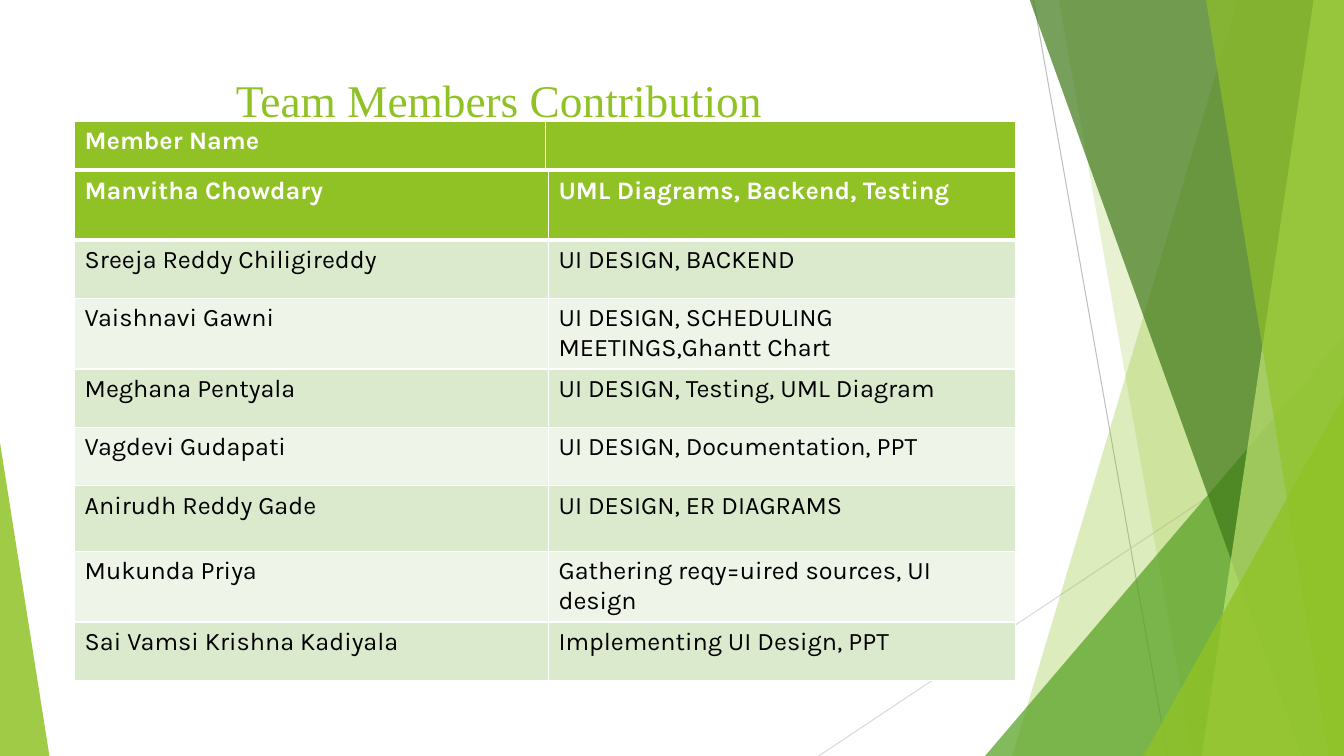
import pptx
import pptx.util
import pptx.dml.color
import pptx.enum.shapes
import pptx.enum.text
import pptx.oxml
import pptx.oxml.ns
import lxml.etree

Inches = pptx.util.Inches
Pt = pptx.util.Pt
qn = pptx.oxml.ns.qn
LIME = "90C226"
WHITE = "FFFFFF"
BANDS = ("DBE9CD", "EEF4E8")

# kind, colour, opacity, then x of the top and bottom left corners (facet)
# or left, top, width, height, apex (wedge)
PANES = [
    ("facet", LIME, 30, 12.28, 10.04),
    ("facet", LIME, 20, 10.5, 11.83),
    ("wedge", "54A021", 72, 9.77, 3.33, 3.56, 4.17, 1),
    ("facet", "3F7819", 70, 10.21, 12.91),
    ("facet", "C0E474", 70, 13.03, 11.92),
    ("facet", LIME, 65, 11.96, 13.18),
    ("wedge", LIME, 80, 11.34, 3.93, 1.99, 3.57, 1),
    ("wedge", LIME, 85, 0, 4.39, 0.49, 3.11, 0),
]

# name, task, row height
TEAM = [
    ("Manvitha Chowdary", "UML Diagrams, Backend, Testing", 0.68),
    ("Sreeja Reddy Chiligireddy", "UI DESIGN, BACKEND", 0.58),
    ("Vaishnavi Gawni", "UI DESIGN, SCHEDULING MEETINGS,Ghantt Chart", 0.68),
    ("Meghana Pentyala", "UI DESIGN, Testing, UML Diagram", 0.58),
    ("Vagdevi Gudapati", "UI DESIGN, Documentation, PPT", 0.58),
    ("Anirudh Reddy Gade", "UI DESIGN, ER DIAGRAMS", 0.65),
    ("Mukunda Priya", "Gathering reqy=uired sources, UI design", 0.68),
    ("Sai Vamsi Krishna Kadiyala", "Implementing UI Design, PPT", 0.58),
]


def color(code):
    return pptx.dml.color.RGBColor.from_string(code)


def paint(shape, code, alpha):
    shape.shadow.inherit = False
    shape.line.fill.background()
    shape.fill.solid()
    shape.fill.fore_color.rgb = color(code)
    tint = shape.fill._xPr.find(qn("a:solidFill"))[0]
    lxml.etree.SubElement(tint, qn("a:alpha"), val=str(alpha * 1000))


def write(para, text, font, size, code, bold=False):
    run = para.add_run()
    run.text = text
    run.font.name = font
    run.font.size = Pt(size)
    run.font.bold = bold
    run.font.color.rgb = color(code)


def add_line(slide, start, end, code):
    line = slide.shapes.add_connector(
        pptx.enum.shapes.MSO_CONNECTOR.STRAIGHT,
        *[Inches(v) for v in start + end])
    line.line.color.rgb = color(code)
    line.line.width = Pt(0.75)
    lxml.etree.SubElement(line._element.spPr, qn("a:effectLst"))


def add_facet(slide, box, top_x, low_x):
    left, top, width, height = box
    right, low = left + width, top + height
    points = [(left + top_x, top - 0.01), (right, top - 0.01),
              (right, low), (left + low_x, low)]
    points = [(Inches(x), Inches(y)) for x, y in points]
    form = slide.shapes.build_freeform(*points[0], scale=1.0)
    form.add_line_segments(points[1:], close=True)
    return form.convert_to_shape()


def add_wedge(slide, box, x, y, width, height, apex):
    shape = slide.shapes.add_shape(
        pptx.enum.shapes.MSO_SHAPE.ISOSCELES_TRIANGLE,
        Inches(box[0] + x), Inches(box[1] + y), Inches(width), Inches(height))
    shape.adjustments[0] = apex
    return shape


def add_decor(slide, box):
    left, top, width, height = box
    right, low = left + width, top + height
    add_line(slide, (left + 10.25, top), (left + 11.58, low), "BFBFBF")
    add_line(slide, (right, top + 4.03), (left + 8.12, low), "D9D9D9")
    makers = {"facet": add_facet, "wedge": add_wedge}
    for kind, code, alpha, *place in PANES:
        paint(makers[kind](slide, box, *place), code, alpha)


def add_title(slide, box, text):
    frame = slide.shapes.add_textbox(*[Inches(v) for v in box]).text_frame
    frame.word_wrap = True
    frame.vertical_anchor = pptx.enum.text.MSO_ANCHOR.TOP
    frame.margin_left = Inches(1.6)
    frame.margin_top = Inches(0.05)
    frame.margin_right = frame.margin_bottom = 0
    write(frame.paragraphs[0], text, "Times New Roman", 32.4, LIME)


def edge(cell, low):
    props = cell._tc.get_or_add_tcPr()
    sides = {"a:lnL": 1, "a:lnR": 1, "a:lnT": 1, "a:lnB": low}
    for place, (tag, width) in enumerate(sides.items()):
        line = lxml.etree.Element(qn(tag), w=str(Pt(width)))
        fill = lxml.etree.SubElement(line, qn("a:solidFill"))
        lxml.etree.SubElement(fill, qn("a:srgbClr"), val=WHITE)
        props.insert(place, line)


def add_grid(slide, box, cols, rows):
    """Table whose first row is a heading and whose others are banded."""
    frame = slide.shapes.add_table(
        len(rows), len(cols), *[Inches(v) for v in box])
    table = frame.table
    table.horz_banding = False
    for col, width in zip(table.columns, cols):
        col.width = Inches(width)
    for r, (*texts, height) in enumerate(rows):
        table.rows[r].height = Inches(height)
        head = r == 0
        for c, text in enumerate(texts):
            cell = table.cell(r, c)
            cell.fill.solid()
            cell.fill.fore_color.rgb = color(LIME if head else BANDS[(r - 1) % 2])
            edge(cell, 3 if head else 1)
            if text:
                write(cell.text_frame.paragraphs[0], text, "Karla", 18,
                      WHITE if head else "000000", head)


def main():
    deck = pptx.Presentation()
    deck.slide_width, deck.slide_height = Inches(13.33), Inches(7.5)
    slide = deck.slides.add_slide(deck.slide_layouts[6])
    # Backdrop
    add_decor(slide, (0, 0, 13.33, 7.5))
    # Heading
    add_title(slide, (0.74, 0.67, 9.4, 0.54), "Team Members Contribution")
    # Team list and its caption row
    add_grid(slide, (0.74, 1.7, 9.33, 5.01), (4.7, 4.63), TEAM)
    add_grid(slide, (0.74, 1.2, 9.33, 0.49), (4.67, 4.66),
             [("Member Name", "", 0.49)])
    deck.save("out.pptx")


if __name__ == "__main__":
    main()
